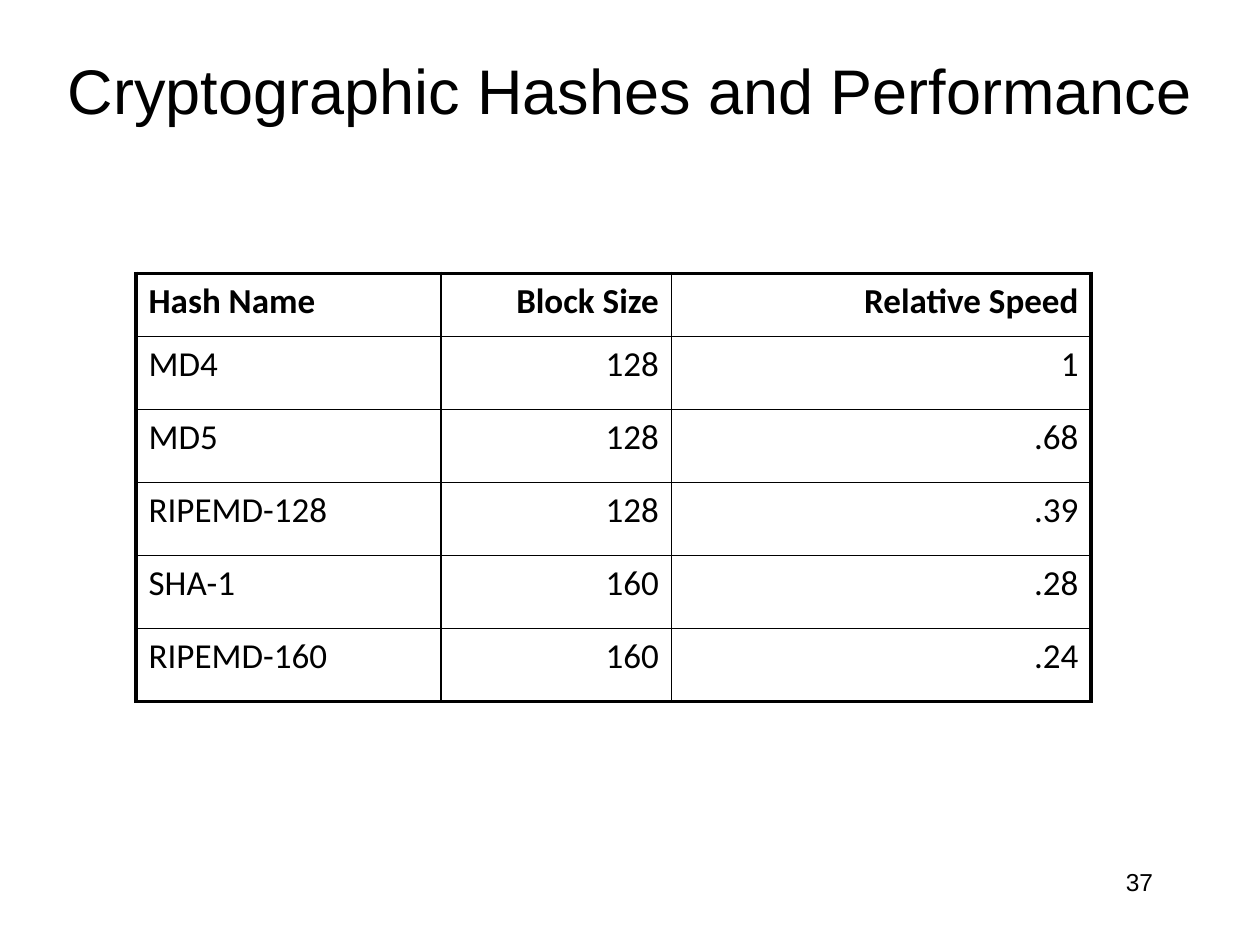
"""Build a slide with a table of cryptographic hashes and their speed."""

import dataclasses

import lxml.etree
import pptx
import pptx.dml.color
import pptx.enum.text
import pptx.oxml.ns
import pptx.util

Inches = pptx.util.Inches
Align = pptx.enum.text.PP_ALIGN
Anchor = pptx.enum.text.MSO_ANCHOR


@dataclasses.dataclass(frozen=True)
class Theme:
    ink: str = "000000"
    heading_font: str = "Arial"
    table_font: str = "Calibri"
    title_size: float = 36
    table_size: float = 20
    number_size: float = 14
    outer_line: float = 2.25
    inner_line: float = 1


@dataclasses.dataclass(frozen=True)
class Label:
    text: str
    left: float
    top: float
    width: float
    height: float
    size: float
    align: Align
    anchor: Anchor


THEME = Theme()
LABELS = (
    Label("37", 7.17, 6.83, 2.08, 0.5, THEME.number_size, Align.RIGHT, Anchor.TOP),
    Label("Cryptographic Hashes and Performance", 0, 0.08, 10, 1.25,
          THEME.title_size, Align.CENTER, Anchor.MIDDLE),
)
HASHES = (
    ("Hash Name", "Block Size", "Relative Speed"),
    ("MD4", "128", "1"),
    ("MD5", "128", ".68"),
    ("RIPEMD-128", "128", ".39"),
    ("SHA-1", "160", ".28"),
    ("RIPEMD-160", "160", ".24"),
)
COLUMN_WIDTHS = (2.42, 1.83, 3.33)
HEADER_HEIGHT = 0.5
ROW_HEIGHT = 0.58


def write_text(frame, text: str, align: Align, font_format: dict) -> None:
    """Put one formatted paragraph into a text frame."""
    para = frame.paragraphs[0]
    para.alignment = align
    span = para.add_run()
    span.text = text
    for name, value in font_format.items():
        setattr(span.font, name, value)
    span.font.color.rgb = pptx.dml.color.RGBColor.from_string(THEME.ink)


def add_label(page, label: Label) -> None:
    """Add a text box for a label."""
    box = page.shapes.add_textbox(
        *map(Inches, (label.left, label.top, label.width, label.height)))
    box.text_frame.word_wrap = True
    box.text_frame.vertical_anchor = label.anchor
    write_text(box.text_frame, label.text, label.align,
               {"name": THEME.heading_font, "size": pptx.util.Pt(label.size)})


def set_borders(cell, outer_sides: dict[str, bool]) -> None:
    """Draw the four borders of a cell, heavier on the table's outer sides."""
    properties = cell._tc.get_or_add_tcPr()
    qualify = pptx.oxml.ns.qn
    for index, (side, is_outer) in enumerate(outer_sides.items()):
        weight = THEME.outer_line if is_outer else THEME.inner_line
        line = lxml.etree.Element(qualify(f"a:ln{side}"), w=str(pptx.util.Pt(weight)))
        fill = lxml.etree.SubElement(line, qualify("a:solidFill"))
        lxml.etree.SubElement(fill, qualify("a:srgbClr"), val=THEME.ink)
        properties.insert(index, line)


def add_hash_table(page, left: float, top: float) -> None:
    """Add the table of hashes."""
    heights = (HEADER_HEIGHT,) + (ROW_HEIGHT,) * (len(HASHES) - 1)
    table = page.shapes.add_table(
        len(HASHES), len(COLUMN_WIDTHS), Inches(left), Inches(top),
        Inches(sum(COLUMN_WIDTHS)), Inches(sum(heights))).table
    table.first_row = table.horz_banding = False
    for column, width in zip(table.columns, COLUMN_WIDTHS):
        column.width = Inches(width)
    for row, height in zip(table.rows, heights):
        row.height = Inches(height)
    last_row, last_column = len(HASHES) - 1, len(COLUMN_WIDTHS) - 1
    for row_index, values in enumerate(HASHES):
        for column_index, value in enumerate(values):
            cell = table.cell(row_index, column_index)
            cell.fill.background()
            write_text(cell.text_frame, value,
                       Align.RIGHT if column_index else Align.LEFT,
                       {"name": THEME.table_font,
                        "size": pptx.util.Pt(THEME.table_size),
                        "bold": row_index == 0})
            set_borders(cell, {"L": column_index == 0,
                               "R": column_index == last_column,
                               "T": row_index == 0,
                               "B": row_index == last_row})


def main() -> None:
    """Build and save the deck."""
    deck = pptx.Presentation()
    deck.slide_width, deck.slide_height = Inches(10), Inches(7.5)
    page = deck.slides.add_slide(deck.slide_layouts[6])
    for label in LABELS:
        add_label(page, label)
    add_hash_table(page, 1.08, 2.17)
    deck.save("out.pptx")


if __name__ == "__main__":
    main()
